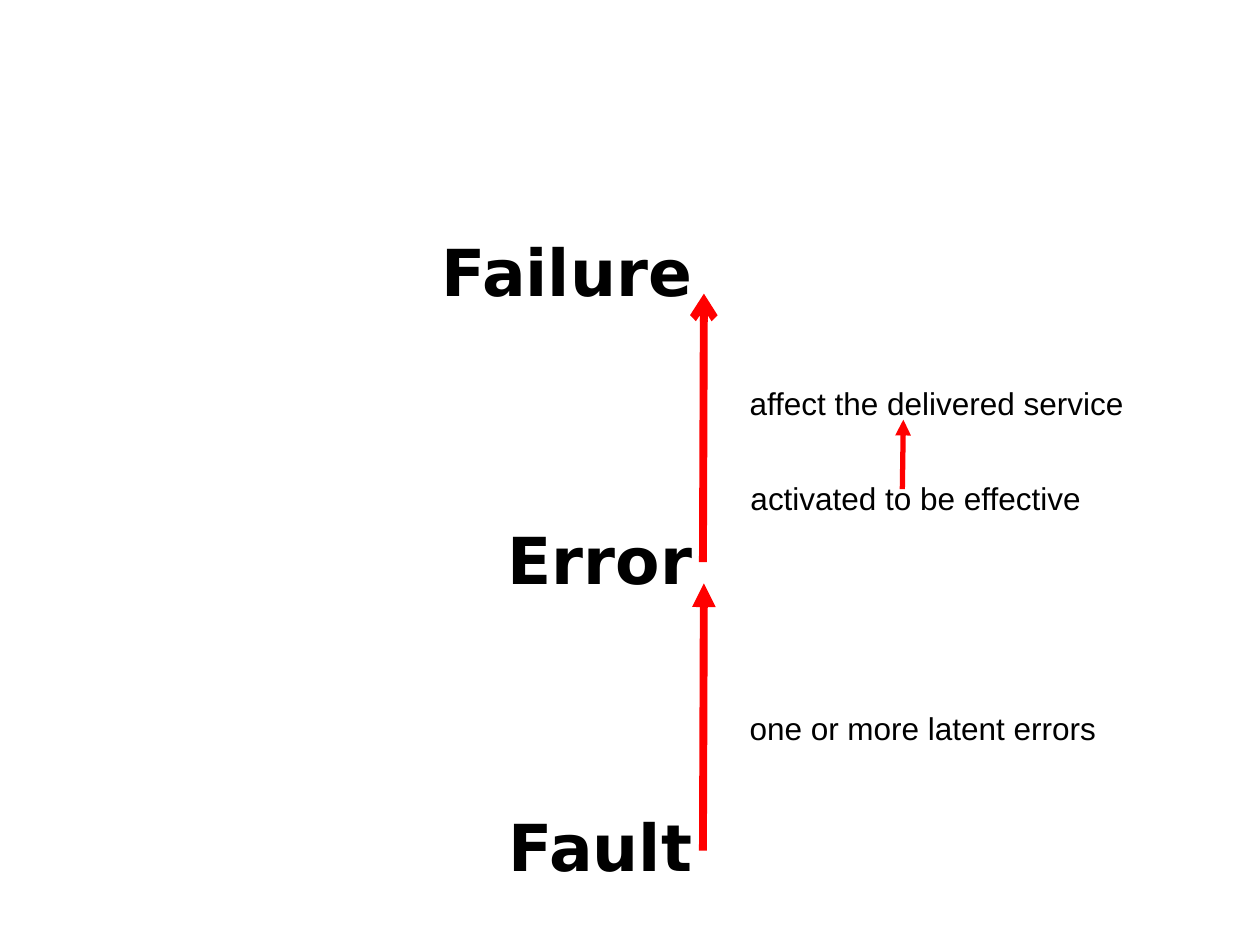
from pptx import Presentation
from pptx.dml.color import RGBColor
from pptx.enum.shapes import MSO_CONNECTOR as Link
from pptx.enum.text import MSO_AUTO_SIZE as Fit, PP_ALIGN as Align
from pptx.oxml.ns import qn
from pptx.util import Cm, Pt
from lxml.etree import SubElement as Sub


def tint(code):
    return RGBColor.from_string(code)


def style(par, face, size, bold):
    font = par.runs[0].font
    font.name = face
    font.size = Pt(size)
    font.bold = bold
    font.color.rgb = tint("000000")


deck = Presentation()
deck.slide_width = Cm(25.4)
deck.slide_height = Cm(19.05)
slide = deck.slides.add_slide(deck.slide_layouts[6])
shapes = slide.shapes

chain = shapes.add_textbox(Cm(6.15), Cm(4.45), Cm(8.05), Cm(14.6))
frame = chain.text_frame
frame.word_wrap = True
frame.margin_top = Cm(0.22)
frame.text = "Failure\nError\nFault"
for rank, par in enumerate(frame.paragraphs):
    par.alignment = Align.RIGHT
    par.space_before = Pt(120 if rank else 0)
    style(par, "DejaVu Sans", 37, True)

labels = [
    ("one or more latent errors", 14.86, 14.17, 7.49),
    ("activated to be effective", 14.88, 9.53, 7.16),
    ("affect the delivered service", 14.86, 7.62, 8.05),
]
for text, left, top, width in labels:
    label = shapes.add_textbox(Cm(left), Cm(top), Cm(width), Cm(1.02))
    frame = label.text_frame
    frame.word_wrap = False
    frame.auto_size = Fit.SHAPE_TO_FIT_TEXT
    frame.text = text
    style(frame.paragraphs[0], "Arial", 18, False)

arrows = [
    (14.17, 17.15, 14.19, 11.76, 4.5, "triangle"),
    (14.17, 11.33, 14.19, 5.92, 4.5, "arrow"),
    (18.19, 9.86, 18.21, 8.46, 3, "triangle"),
]
for x1, y1, x2, y2, weight, head in arrows:
    arrow = shapes.add_connector(Link.STRAIGHT, Cm(x1), Cm(y1), Cm(x2), Cm(y2))
    arrow.line.color.rgb = tint("FF0000")
    arrow.line.width = Pt(weight)
    Sub(arrow.line._get_or_add_ln(), qn("a:tailEnd"), type=head)
    Sub(arrow._element.spPr, qn("a:effectLst"))

deck.save("out.pptx")
